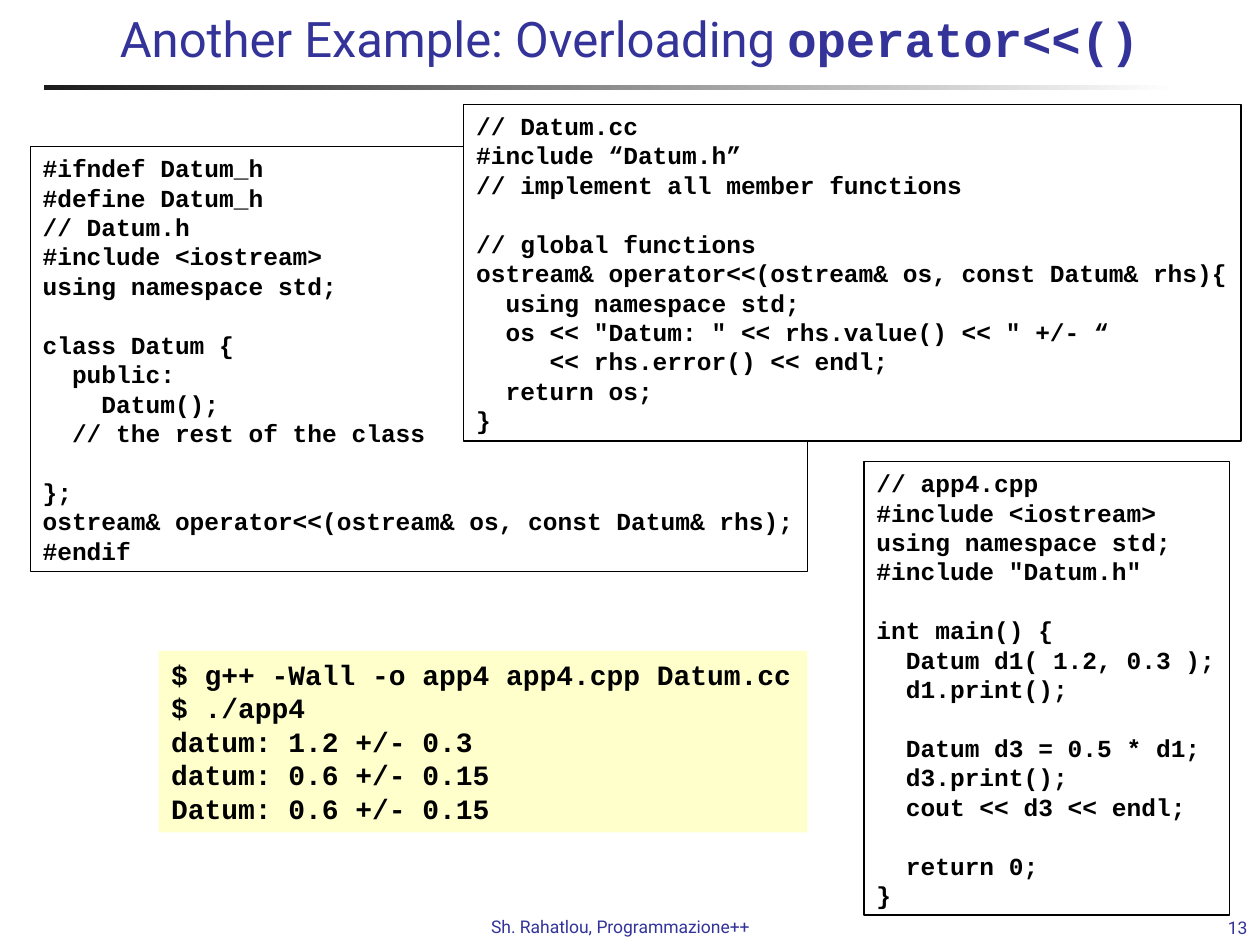
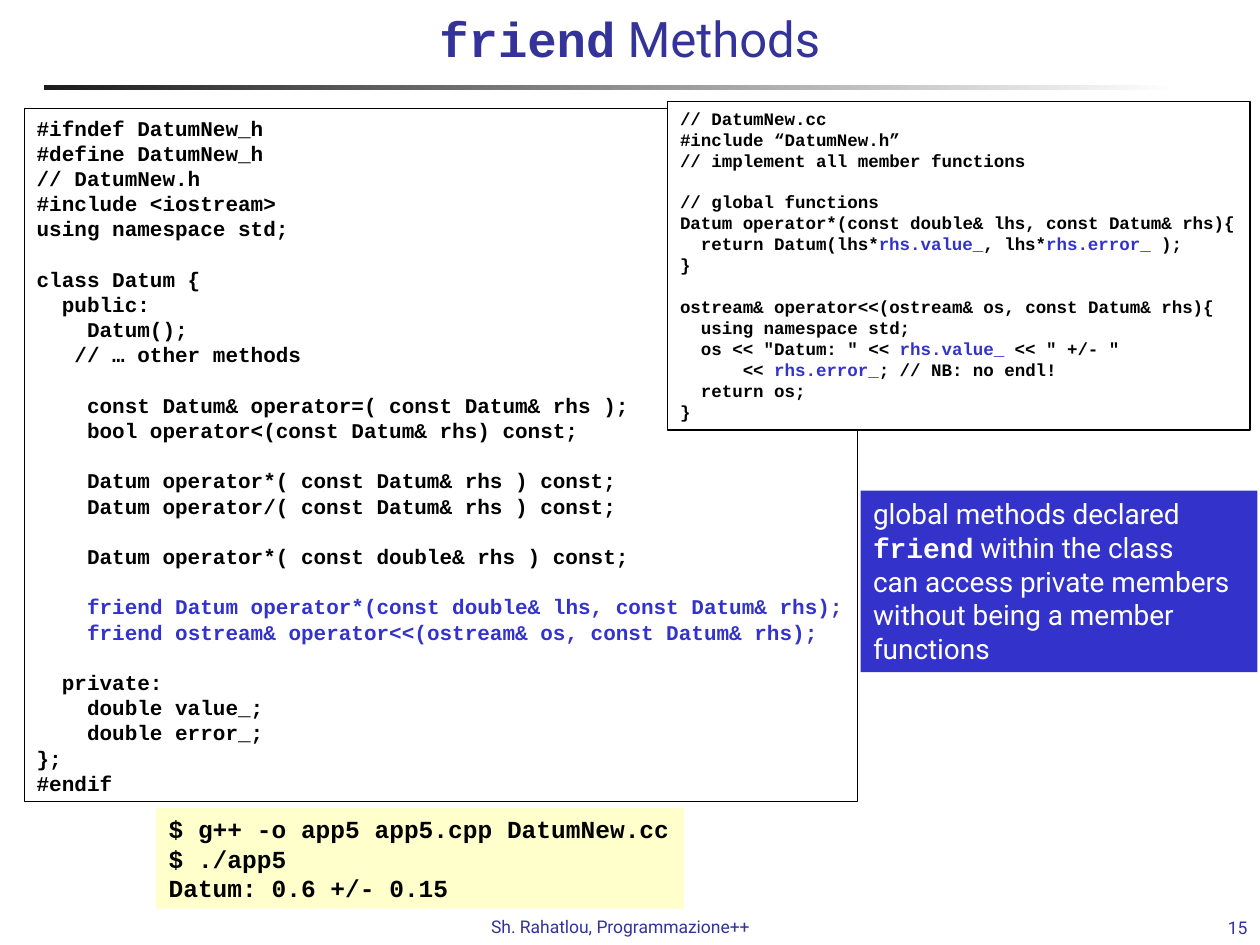
from dataclasses import dataclass
from typing import Optional

from pptx import Presentation
from pptx.dml.color import RGBColor
from pptx.enum.shapes import MSO_SHAPE as Shape
from pptx.enum.text import MSO_ANCHOR as Anchor, MSO_AUTO_SIZE as AutoSize, PP_ALIGN as Align
from pptx.util import Cm, Pt

# Shared look
SANS, MONO = "Roboto", "Courier New"
NAVY, BLUE = "333399", "3333CC"
BLACK, WHITE, CREAM = "000000", "FFFFFF", "FFFFCC"
RULE_START = "1C1C1C"
LINE_HEIGHT = 1.2
MARK = "`"  # encloses the emphasised part of a text


@dataclass(frozen=True)
class TextStyle:
    font: str
    size: int
    colour: str
    bold: bool = False


@dataclass(frozen=True)
class Box:
    left: float
    top: float
    width: float
    height: float
    lines: list[str]
    style: TextStyle
    emphasis: TextStyle
    fill: Optional[str] = None
    outline: Optional[str] = None
    align: Align = Align.LEFT
    anchor: Anchor = Anchor.TOP
    fit: bool = True


@dataclass(frozen=True)
class SlideContent:
    number: str
    title: str
    boxes: list[Box]


def rgb(colour: str) -> RGBColor:
    return RGBColor.from_string(colour)


def code_style(size: int, colour: str = BLACK) -> TextStyle:
    return TextStyle(MONO, size, colour, True)


def code_box(left: float, top: float, width: float, height: float, size: int,
             source: str, fill: Optional[str] = None) -> Box:
    return Box(left, top, width, height, source.strip("\n").split("\n"),
               code_style(size), code_style(size, BLUE), fill, BLACK)


def terminal_box(left: float, top: float, width: float, height: float, size: int,
                 output: str) -> Box:
    return Box(left, top, width, height, output.strip("\n").split("\n"),
               code_style(size), code_style(size), CREAM)


def add_run(paragraph, text: str, style: TextStyle) -> None:
    font_format = {"name": style.font, "size": Pt(style.size), "bold": style.bold}
    for index, part in enumerate(text.split("\n")):
        if index:
            paragraph.add_line_break()
        if not part:
            continue
        run = paragraph.add_run()
        run.text = part
        for attribute, value in font_format.items():
            setattr(run.font, attribute, value)
        run.font.color.rgb = rgb(style.colour)


def fill_text(text_frame, box: Box) -> None:
    """Write the lines; an empty line becomes space before the next one."""
    pitch = box.style.size * LINE_HEIGHT
    gap, started = 0, False
    for line in box.lines:
        if not line:
            gap += 1
            continue
        paragraph = text_frame.add_paragraph() if started else text_frame.paragraphs[0]
        started = True
        paragraph_format = {"alignment": box.align, "line_spacing": Pt(pitch),
                            "space_before": Pt(gap * pitch)}
        for attribute, value in paragraph_format.items():
            setattr(paragraph, attribute, value)
        for index, text in enumerate(line.split(MARK)):
            add_run(paragraph, text, box.emphasis if index % 2 else box.style)
        gap = 0


def add_box(slide, box: Box) -> None:
    area = [Cm(value) for value in (box.left, box.top, box.width, box.height)]
    if box.fill or box.outline:
        shape = slide.shapes.add_shape(Shape.RECTANGLE, *area)
        shape.shadow.inherit = False
        if box.fill:
            shape.fill.solid()
            shape.fill.fore_color.rgb = rgb(box.fill)
        else:
            shape.fill.background()
        if box.outline:
            shape.line.color.rgb = rgb(box.outline)
            shape.line.width = Pt(0.75)
        else:
            shape.line.fill.background()
    else:
        shape = slide.shapes.add_textbox(*area)
    frame_format = {
        "word_wrap": not box.fit,
        "auto_size": AutoSize.SHAPE_TO_FIT_TEXT if box.fit else AutoSize.NONE,
        "vertical_anchor": box.anchor,
        "margin_left": Cm(0.25), "margin_right": Cm(0.25),
        "margin_top": Cm(0.13), "margin_bottom": Cm(0.13),
    }
    for attribute, value in frame_format.items():
        setattr(shape.text_frame, attribute, value)
    fill_text(shape.text_frame, box)


def add_title_rule(slide) -> None:
    rule = slide.shapes.add_shape(Shape.RECTANGLE, Cm(0.89), Cm(1.72), Cm(22.86), Cm(0.09))
    rule.shadow.inherit = False
    rule.line.fill.background()
    rule.fill.gradient()
    rule.fill.gradient_angle = 0
    for stop, colour in zip(rule.fill.gradient_stops, (RULE_START, WHITE)):
        stop.color.rgb = rgb(colour)


def add_slide(presentation, content: SlideContent) -> None:
    slide = presentation.slides.add_slide(presentation.slide_layouts[6])
    small = TextStyle(SANS, 10, NAVY)
    add_title_rule(slide)
    frame = [
        Box(9.65, 18.34, 6.02, 0.68, ["Sh. Rahatlou, Programmazione++"], small, small),
        Box(22.66, 18.41, 2.74, 0.64, [content.number], small, small,
            align=Align.RIGHT, anchor=Anchor.BOTTOM, fit=False),
        Box(1.48, 0.05, 22.43, 1.7, [content.title], TextStyle(SANS, 28, NAVY),
            code_style(28, NAVY), align=Align.CENTER, fit=False),
    ]
    for box in frame + content.boxes:
        add_box(slide, box)


# Slide texts
DATUM_HEADER = '''
#ifndef Datum_h
#define Datum_h
// Datum.h
#include <iostream>
using namespace std;

class Datum {
  public:
    Datum();
  // the rest of the class

};
ostream& operator<<(ostream& os, const Datum& rhs);
#endif
'''

DATUM_SOURCE = '''
// Datum.cc
#include “Datum.h”
// implement all member functions

// global functions
ostream& operator<<(ostream& os, const Datum& rhs){
  using namespace std;
  os << "Datum: " << rhs.value() << " +/- “
     << rhs.error() << endl;
  return os;
}
'''

APP4_OUTPUT = '''
$ g++ -Wall -o app4 app4.cpp Datum.cc
$ ./app4
datum: 1.2 +/- 0.3
datum: 0.6 +/- 0.15
Datum: 0.6 +/- 0.15
'''

APP4_SOURCE = '''
// app4.cpp
#include <iostream>
using namespace std;
#include "Datum.h"

int main() {
  Datum d1( 1.2, 0.3 );
  d1.print();

  Datum d3 = 0.5 * d1;
  d3.print();
  cout << d3 << endl;

  return 0;
}
'''

DATUM_NEW_HEADER = '''
#ifndef DatumNew_h
#define DatumNew_h
// DatumNew.h
#include <iostream>
using namespace std;

class Datum {
  public:
    Datum();
   // … other methods

    const Datum& operator=( const Datum& rhs );
    bool operator<(const Datum& rhs) const;

    Datum operator*( const Datum& rhs ) const;
    Datum operator/( const Datum& rhs ) const;

    Datum operator*( const double& rhs ) const;

    `friend Datum operator*(const double& lhs, const Datum& rhs);`
    `friend ostream& operator<<(ostream& os, const Datum& rhs);`

  private:
    double value_;
    double error_;
};
#endif
'''

APP5_OUTPUT = '''
$ g++ -o app5 app5.cpp DatumNew.cc
$ ./app5
Datum: 0.6 +/- 0.15
'''

DATUM_NEW_SOURCE = '''
// DatumNew.cc
#include “DatumNew.h”
// implement all member functions

// global functions
Datum operator*(const double& lhs, const Datum& rhs){
  return Datum(lhs*`rhs.value_`, lhs*`rhs.error_` );
}

ostream& operator<<(ostream& os, const Datum& rhs){
  using namespace std;
  os << "Datum: " << `rhs.value_` << " +/- "
      << `rhs.error_`; // NB: no endl!
  return os;
}
'''

FRIEND_NOTE = '''global methods declared
`friend` within the class
can access private members
without being a member
functions'''

SLIDES = [
    SlideContent("13", "Another Example: Overloading `operator<<()`", [
        code_box(0.61, 2.96, 15.67, 8.56, 14, DATUM_HEADER),
        code_box(9.35, 2.11, 15.67, 6.78, 14, DATUM_SOURCE, WHITE),
        terminal_box(3.2, 13.12, 13.08, 3.66, 16, APP4_OUTPUT),
        code_box(17.42, 9.31, 7.36, 9.14, 14, APP4_SOURCE),
    ]),
    SlideContent("15", "`friend` Methods", [
        code_box(0.49, 2.19, 16.8, 13.97, 12, DATUM_NEW_HEADER),
        terminal_box(3.15, 16.29, 10.64, 2.03, 14, APP5_OUTPUT),
        code_box(13.46, 2.04, 11.74, 6.63, 10, DATUM_NEW_SOURCE, WHITE),
        Box(17.35, 9.89, 8, 3.66, [FRIEND_NOTE], TextStyle(SANS, 16, WHITE),
            code_style(16, WHITE), BLUE),
    ]),
]


def main() -> None:
    presentation = Presentation()
    presentation.slide_width, presentation.slide_height = Cm(25.4), Cm(19.05)
    for content in SLIDES:
        add_slide(presentation, content)
    presentation.save("out.pptx")


if __name__ == "__main__":
    main()
